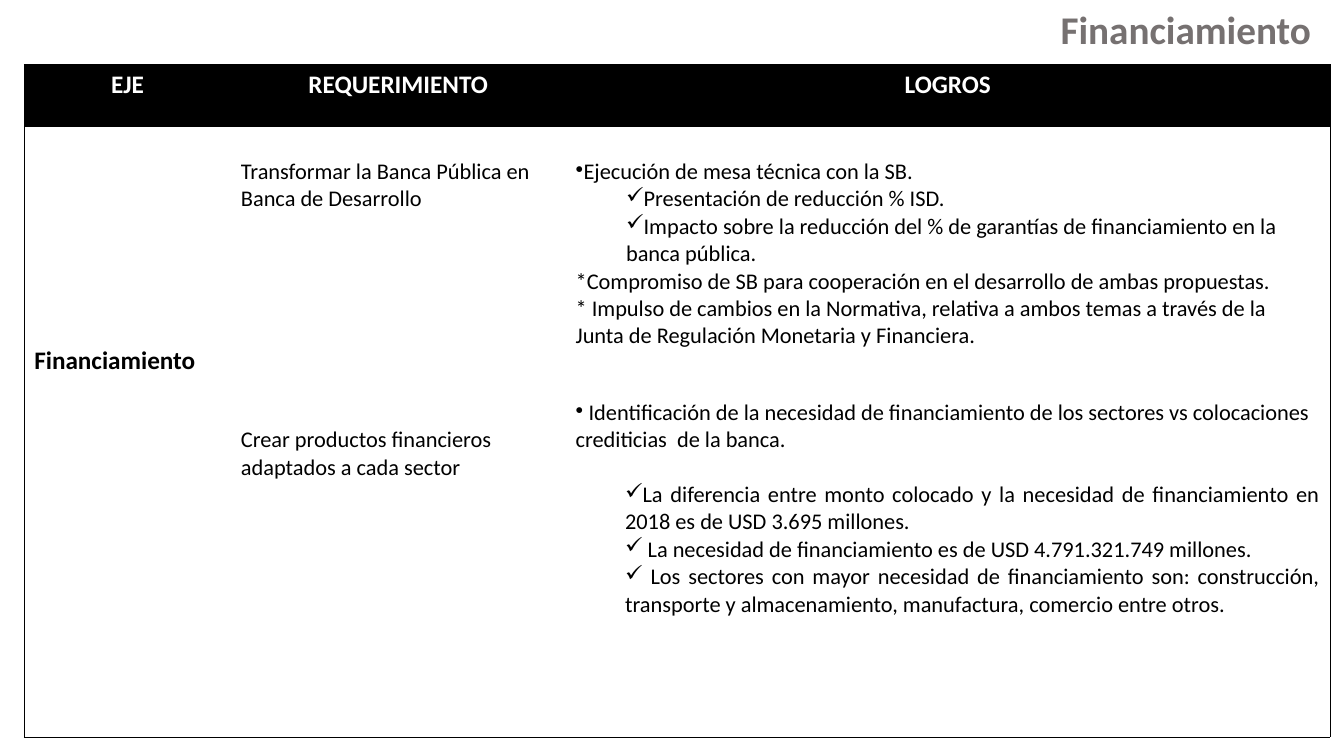
import pptx
import pptx.util
import pptx.dml.color
import pptx.enum.text
import pptx.oxml
import pptx.oxml.ns

Inches = pptx.util.Inches
Pt = pptx.util.Pt
RGBColor = pptx.dml.color.RGBColor
Align = pptx.enum.text.PP_ALIGN
Anchor = pptx.enum.text.MSO_ANCHOR

GRAY = RGBColor(0x76, 0x71, 0x71)
BLACK = RGBColor(0, 0, 0)
WHITE = RGBColor(255, 255, 255)
FONT = "Calibri"
COLS = [2.05, 3.32, 7.58]
ROWS = [0.61, 2.66, 3.4]
HEADS = ["EJE", "REQUERIMIENTO", "LOGROS"]
NEEDS = [
    "Transformar la Banca Pública en Banca de Desarrollo",
    "Crear productos financieros adaptados a cada sector",
]
BANK = [
    ("•", 0, "Ejecución de mesa técnica con la SB."),
    ("✓", 0.5, "Presentación de reducción % ISD."),
    ("✓", 0.5, "Impacto sobre la reducción del % de garantías de financiamiento en la banca pública."),
    ("", 0, "*Compromiso de SB para cooperación en el desarrollo de ambas propuestas."),
    ("", 0, "* Impulso de cambios en la Normativa, relativa a ambos temas a través de la Junta de Regulación Monetaria y Financiera."),
]
LOANS = [
    ("•", 0, " Identificación de la necesidad de financiamiento de los sectores vs colocaciones crediticias  de la banca."),
    ("✓", 0.49, "La diferencia entre monto colocado y la necesidad de financiamiento en 2018 es de USD 3.695 millones. "),
    ("✓", 0.49, " La necesidad de financiamiento es de USD 4.791.321.749 millones."),
    ("✓", 0.49, " Los sectores con mayor necesidad de financiamiento son: construcción, transporte y almacenamiento, manufactura, comercio entre otros."),
]


def style(para, size, color=BLACK, bold=False, align=Align.LEFT):
    para.alignment = align
    for run in para.runs:
        font = run.font
        font.name, font.size, font.bold = FONT, Pt(size), bold
        font.color.rgb = color


def indent(para, mark, left):
    props = para._p.get_or_add_pPr()
    props.set("marL", str(Inches(left)))
    props.set("indent", "0")
    if mark:
        bullet = pptx.oxml.ns.qn("a:buChar")
        props.append(props.makeelement(bullet, {"char": mark}))


def border(cell, sides):
    space = pptx.oxml.ns.nsdecls("a")
    props = cell._tc.get_or_add_tcPr()
    for spot, side in enumerate("LRTB"):
        fill = '<a:solidFill><a:srgbClr val="000000"/></a:solidFill>' if side in sides else "<a:noFill/>"
        line = f'<a:ln{side} {space} w="{Pt(0.5)}">{fill}</a:ln{side}>'
        props.insert(spot, pptx.oxml.parse_xml(line))


def write(cell, text, size, top=0.05, **look):
    cell.text_frame.text = text
    cell.margin_top = Inches(top)
    style(cell.text_frame.paragraphs[0], size, **look)


def fill_list(cell, items, top):
    cell.margin_top = Inches(top)
    frame = cell.text_frame
    frame.text = "\n".join(text for _, _, text in items)
    for para, (mark, left, _) in zip(frame.paragraphs, items):
        style(para, 16)
        indent(para, mark, left)


def add_title(slide, left, top, width, height):
    title = slide.shapes.title
    title.left, title.top = Inches(left), Inches(top)
    title.width, title.height = Inches(width), Inches(height)
    frame = title.text_frame
    frame.text = "Financiamiento "
    frame.vertical_anchor = Anchor.TOP
    style(frame.paragraphs[0], 28, GRAY, True, Align.RIGHT)


def add_grid(slide, left, top):
    frame = slide.shapes.add_table(
        len(ROWS), len(COLS), Inches(left), Inches(top),
        Inches(sum(COLS)), Inches(sum(ROWS)))
    table = frame.table
    table.first_row = table.horz_banding = False
    for col, width in zip(table.columns, COLS):
        col.width = Inches(width)
    for row, height in zip(table.rows, ROWS):
        row.height = Inches(height)
    for r in range(len(ROWS)):
        for c in range(len(COLS)):
            cell = table.cell(r, c)
            cell.fill.solid()
            cell.fill.fore_color.rgb = WHITE if r else BLACK
            sides = ("B" if r else "TB") + ("T" if r == 1 else "")
            border(cell, sides + {0: "L", 2: "R"}.get(c, ""))
    for c, head in enumerate(HEADS):
        write(table.cell(0, c), head, 18, color=WHITE, bold=True, align=Align.CENTER)
    table.cell(1, 0).merge(table.cell(2, 0))
    write(table.cell(1, 0), "Financiamiento", 18, 2.18, bold=True)
    for r, need in enumerate(NEEDS, 1):
        write(table.cell(r, 1), need, 16, 0.32)
    fill_list(table.cell(1, 2), BANK, 0.32)
    fill_list(table.cell(2, 2), LOANS, 0.05)
    paras = table.cell(2, 2).text_frame.paragraphs
    paras[1].space_before = Pt(19.5)
    for para in paras[1:]:
        para.alignment = Align.JUSTIFY


def main():
    deck = pptx.Presentation()
    deck.slide_width, deck.slide_height = Inches(13.33), Inches(7.5)
    slide = deck.slides.add_slide(deck.slide_layouts[5])
    add_title(slide, 8.88, 0, 4.31, 0.57)
    add_grid(slide, 0.24, 0.64)
    deck.save("out.pptx")


if __name__ == "__main__":
    main()
